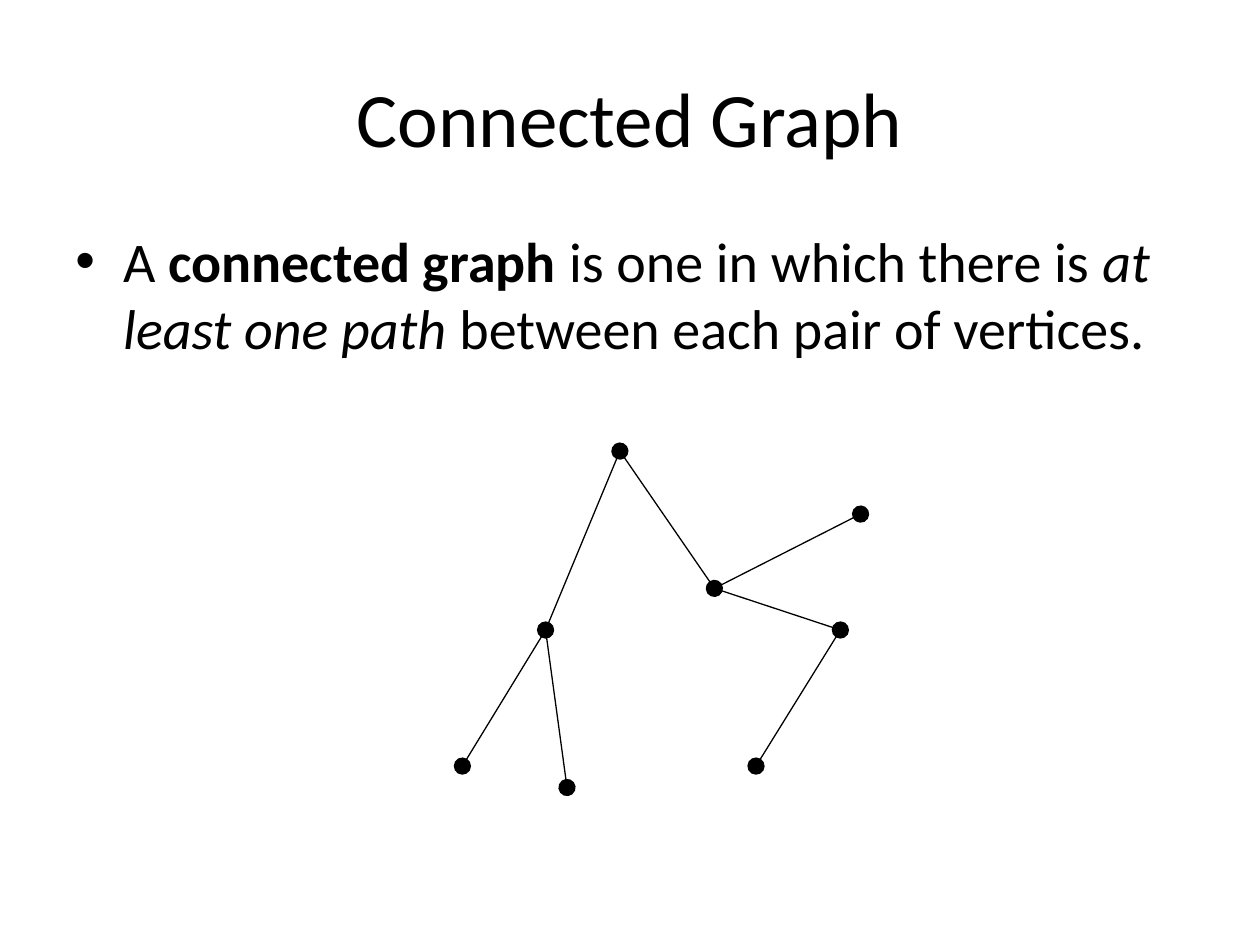
from lxml.etree import SubElement
from pptx import Presentation
from pptx.dml.color import RGBColor
from pptx.enum.shapes import MSO_CONNECTOR
from pptx.enum.text import MSO_ANCHOR, PP_ALIGN
from pptx.oxml.ns import qn
from pptx.util import Inches, Pt

COLORS = {"background": "FFFFFF", "ink": "000000"}
FONT = "Calibri"

VERTICES = {
    "top": (4.92, 3.58),
    "left": (4.33, 5),
    "left_leaf": (3.67, 6.08),
    "middle_leaf": (4.5, 6.25),
    "center": (5.67, 4.67),
    "upper_leaf": (6.83, 4.08),
    "right": (6.67, 5),
    "right_leaf": (6, 6.08),
}

# Start vertex, end vertex, ends of the edge that carry a dot
EDGES = [
    ("left", "left_leaf", ("headEnd", "tailEnd")),
    ("right", "right_leaf", ("headEnd", "tailEnd")),
    ("top", "center", ("headEnd", "tailEnd")),
    ("left", "top", ()),
    ("center", "right", ()),
    ("left", "middle_leaf", ("tailEnd",)),
    ("center", "upper_leaf", ("tailEnd",)),
]


def add_bullet(paragraph, indent):
    """Give the paragraph a round bullet with a hanging indent."""
    properties = paragraph._p.get_or_add_pPr()
    properties.set("marL", str(indent))
    properties.set("indent", str(-indent))
    SubElement(properties, qn("a:buFont"), typeface="Arial")
    SubElement(properties, qn("a:buChar"), char="•")


def add_text(slide, runs, left, top, width, height, *, size,
             align=PP_ALIGN.LEFT, anchor=MSO_ANCHOR.TOP, bullet_indent=None):
    """Add one paragraph; runs holds (text, bold, italic) tuples."""
    box = slide.shapes.add_textbox(Inches(left), Inches(top), Inches(width), Inches(height))
    frame = box.text_frame
    frame.word_wrap = True
    frame.vertical_anchor = anchor
    paragraph = frame.paragraphs[0]
    paragraph.alignment = align
    if bullet_indent is not None:
        add_bullet(paragraph, Inches(bullet_indent))
    for text, bold, italic in runs:
        run = paragraph.add_run()
        run.text = text
        run.font.name = FONT
        run.font.size = Pt(size)
        run.font.bold = bold
        run.font.italic = italic
        run.font.color.rgb = RGBColor.from_string(COLORS["ink"])


def add_edge(slide, start, end, dotted_ends):
    points = [Inches(value) for value in (*VERTICES[start], *VERTICES[end])]
    edge = slide.shapes.add_connector(MSO_CONNECTOR.STRAIGHT, *points)
    edge.line.color.rgb = RGBColor.from_string(COLORS["ink"])
    edge.line.width = Pt(0.75)
    line = edge.line._get_or_add_ln()
    for line_end in dotted_ends:
        SubElement(line, qn(f"a:{line_end}"), type="oval", w="lg", len="lg")
    SubElement(edge._element.spPr, qn("a:effectLst"))


def main():
    presentation = Presentation()
    presentation.slide_width = Inches(10)
    presentation.slide_height = Inches(7.5)
    slide = presentation.slides.add_slide(presentation.slide_layouts[6])
    slide.background.fill.solid()
    slide.background.fill.fore_color.rgb = RGBColor.from_string(COLORS["background"])

    add_text(slide, [("Connected Graph", False, False)], 0.5, 0.3, 9, 1.25,
             size=44, align=PP_ALIGN.CENTER, anchor=MSO_ANCHOR.MIDDLE)
    definition = [
        ("A", False, False),
        (" connected graph", True, False),
        (" is one in which there is ", False, False),
        ("at least one path ", False, True),
        ("between each pair of vertices.", False, False),
    ]
    add_text(slide, definition, 0.5, 1.75, 9, 4.95, size=32, bullet_indent=0.38)

    for start, end, dotted_ends in EDGES:
        add_edge(slide, start, end, dotted_ends)

    presentation.save("out.pptx")


if __name__ == "__main__":
    main()
